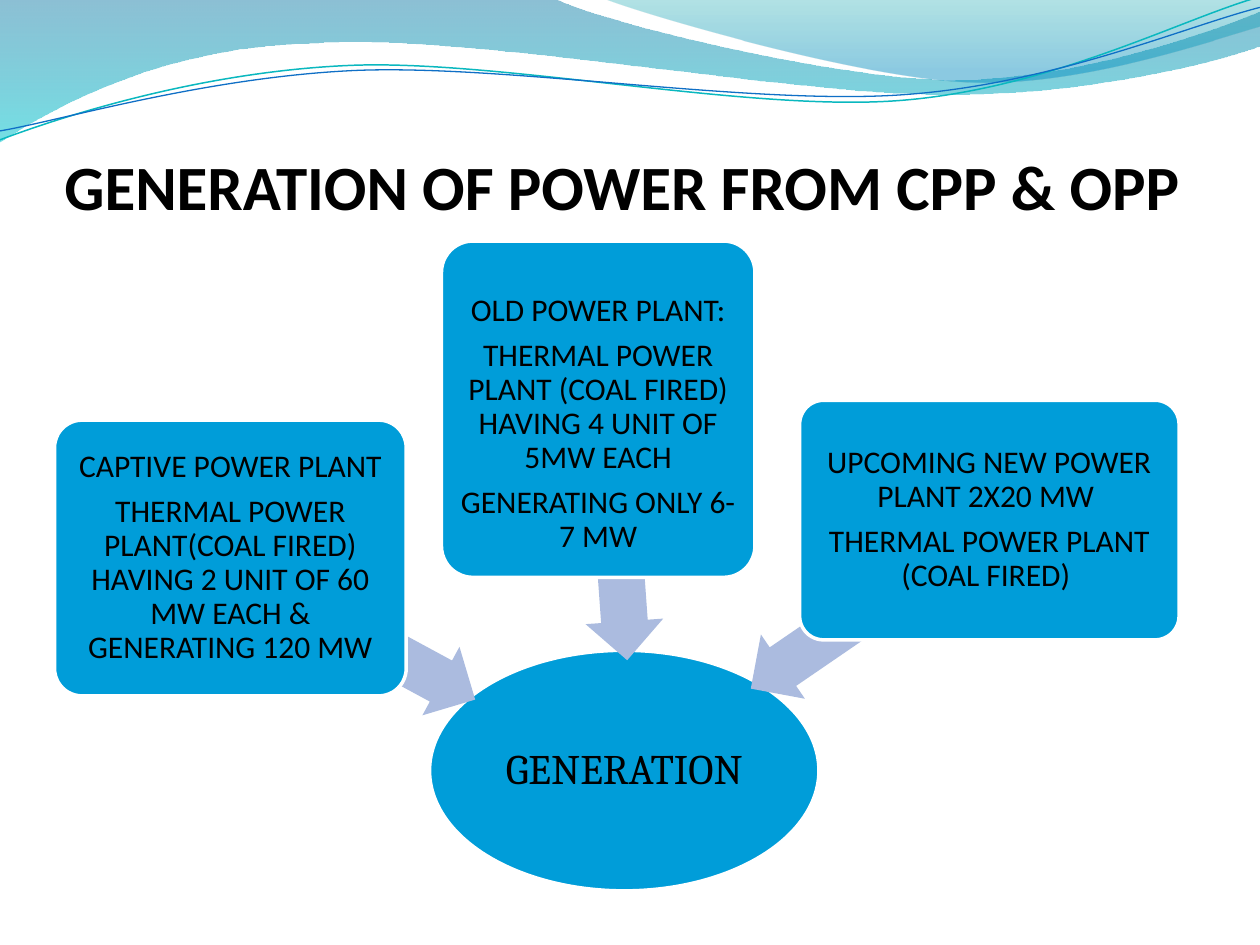
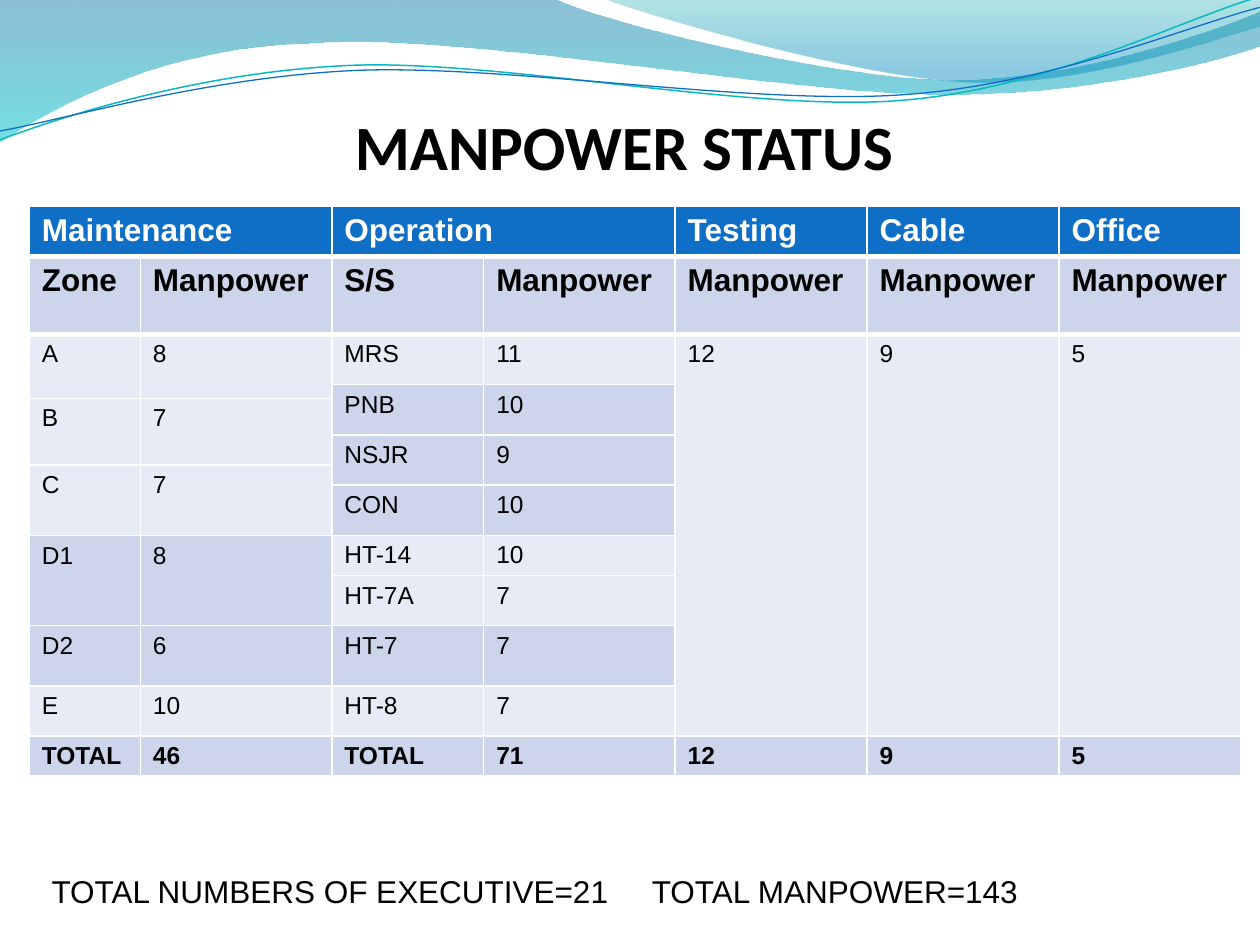
"""Build two slides on power generation and manpower under a shared wave header."""
import pptx
import pptx.dml.color
import pptx.enum.shapes
import pptx.enum.text
import pptx.oxml
import pptx.util
from lxml import etree
from pptx.util import Cm, Pt

NS = "http://schemas.openxmlformats.org/drawingml/2006/main"
SHAPES = pptx.enum.shapes.MSO_SHAPE
ALIGN = pptx.enum.text.PP_ALIGN
ANCHOR = pptx.enum.text.MSO_ANCHOR

BLACK, WHITE = "000000", "FFFFFF"
NODE_BLUE, ARROW_BLUE = "009DD9", "ABBBDF"
HEADER_BLUE, BAND_DARK, BAND_LIGHT = "0F6FC6", "CCD5EA", "E7EBF5"

WAVES = [
    {"steps": [(0, 0), (11.18, -0.03),
               (12.09, 0.43, 16.87, 1.6, 19.25, 1.6),
               (21.67, 1.6, 24.33, 0.66, 25.4, 0.23), (25.43, 0.91),
               (24.97, 1.12, 22.1, 1.93, 18.95, 1.9),
               (15.8, 1.9, 9.7, 0.71, 6.53, 0.86),
               (3.28, 0.91, 1.17, 2.11, -0.03, 2.87)],
     "gradient": [(0, "0074A1", 45), (100, "00C6CF", 55)]},
    {"steps": [(12.17, -0.03),
               (12.93, 0.28, 17.32, 1.57, 19.53, 1.65),
               (21.74, 1.75, 24.41, 0.81, 25.4, 0.53), (25.4, 0)],
     "gradient": [(0, "00A1A9", 30), (80, "008BBF", 45)]},
    {"steps": [(0, 2.82), (1.22, 2.36, 4.01, 1.45, 7.04, 1.32),
               (10.03, 1.19, 15.06, 2.26, 18.11, 2.03),
               (21.16, 1.8, 23.83, 0.38, 25.35, -0.05)],
     "line": ("0AB8BF", 0.85)},
    {"steps": [(0, 2.64), (1.19, 2.44, 4.17, 1.55, 7.19, 1.42),
               (10.24, 1.3, 15.16, 2.13, 18.21, 1.91),
               (21.23, 1.7, 23.9, 0.53, 25.4, 0.15)],
     "line": ("0F6FC6", 0.75)},
]

GENERATION = ("GENERATION", (8.66, 13.11, 7.85, 4.85))
PLANTS = [
    {"box": (1.1, 8.47, 7.09, 5.56), "top_inset": 0.1, "inset": 0.1,
     "arrow": (4.57, 12.05, 5.33, 1.57), "turn": 208.4,
     "text": ["CAPTIVE POWER PLANT",
              "THERMAL POWER PLANT(COAL FIRED) HAVING 2 UNIT OF 60 MW EACH & "
              "GENERATING 120 MW"]},
    {"box": (8.9, 4.86, 6.32, 6.78), "top_inset": 0.66, "inset": 0.05,
     "arrow": (10.18, 10.23, 4.6, 1.57), "turn": 265.9,
     "text": ["OLD POWER PLANT:",
              "THERMAL POWER PLANT (COAL FIRED) HAVING 4 UNIT OF 5MW EACH",
              "GENERATING ONLY 6-7 MW"]},
    {"box": (16.12, 8.07, 7.65, 4.83), "top_inset": 0.1, "inset": 0.1,
     "arrow": (14.66, 11.56, 5.44, 1.57), "turn": 325.6,
     "text": ["UPCOMING NEW POWER PLANT 2X20 MW ",
              "THERMAL POWER PLANT (COAL FIRED) "]},
]

COLUMN_WIDTHS = [2.24, 3.86, 3.06, 3.86, 3.87, 3.87, 3.66]
ROW_HEIGHTS = [1.01, 1.57, 1.01, 0.28, 0.74, 0.6, 0.41, 1.01, 0.01, 0.8, 1.01, 1.22,
               1.01, 0.76]
HEADINGS = [(0, 2, "Maintenance"), (2, 2, "Operation"), (4, 1, "Testing"),
            (5, 1, "Cable"), (6, 1, "Office")]
SUBHEADINGS = ["Zone", "Manpower", "S/S"] + ["Manpower"] * 4
TOTALS = ["TOTAL", "46", "TOTAL", "71", "12", "9", "5"]
STAFF = {
    0: [(2, 2, "A", "8"), (4, 2, "B", "7"), (6, 3, "C", "7"), (9, 2, "D1", "8"),
        (11, 1, "D2", "6"), (12, 1, "E", "10")],
    2: [(2, 1, "MRS", "11"), (3, 2, "PNB", "10"), (5, 2, "NSJR", "9"),
        (7, 1, "CON", "10"), (8, 2, "HT-14", "10"), (10, 1, "HT-7A", "7"),
        (11, 1, "HT-7", "7"), (12, 1, "HT-8", "7")],
    4: [(2, 11, "12", "9", "5")],
}
SUMMARY = "TOTAL NUMBERS OF EXECUTIVE=21\tTOTAL MANPOWER=143"


def color(value):
    """Turn a hex string into a colour."""
    return pptx.dml.color.RGBColor.from_string(value)


def lengths(values):
    """Turn numbers into centimetre lengths."""
    return [Cm(value) for value in values]


def paint(shape, fill, line=None, width=0):
    """Give a shape a solid fill, an optional line and no shadow."""
    shape.shadow.inherit = False
    shape.fill.solid()
    shape.fill.fore_color.rgb = color(fill)
    if line:
        shape.line.color.rgb = color(line)
        shape.line.width = Pt(width)
    else:
        shape.line.fill.background()


def style(para, size, font, tint=BLACK, bold=False):
    """Set the font of a paragraph."""
    para.font.size = Pt(size)
    para.font.name = font
    para.font.bold = bold
    para.font.color.rgb = color(tint)


def set_insets(frame, left, top, right, bottom):
    """Set the four insets of a text frame."""
    frame.margin_left, frame.margin_top = Cm(left), Cm(top)
    frame.margin_right, frame.margin_bottom = Cm(right), Cm(bottom)


def add_outline(page, steps, closed):
    """Add a freeform whose pairs are straight steps and sextets are Bézier curves."""
    groups = [[(Cm(step[i]), Cm(step[i + 1])) for i in range(0, len(step), 2)]
              for step in steps]
    builder = page.shapes.build_freeform(*groups[0][0])
    builder.add_line_segments([point for group in groups[1:] for point in group],
                              close=closed)
    shape = builder.convert_to_shape()
    segments = iter(list(shape.element.iter(f"{{{NS}}}lnTo")))
    for group in groups[1:]:
        parts = [next(segments) for _ in group]
        if len(parts) == 3:
            curve = etree.Element(f"{{{NS}}}cubicBezTo")
            parts[0].addprevious(curve)
            for part in parts:
                curve.append(part[0])
                part.getparent().remove(part)
    return shape


def gradient_fill(shape, stops):
    """Fill a shape with a see-through gradient running downwards."""
    marks = "".join(
        f'<a:gs pos="{place * 1000}"><a:srgbClr val="{tint}">'
        f'<a:alpha val="{alpha * 1000}"/></a:srgbClr></a:gs>'
        for place, tint, alpha in stops)
    fill = pptx.oxml.parse_xml(
        f'<a:gradFill xmlns:a="{NS}" rotWithShape="1"><a:gsLst>{marks}</a:gsLst>'
        '<a:lin ang="5400000" scaled="0"/></a:gradFill>')
    shape.element.spPr.find(f"{{{NS}}}custGeom").addnext(fill)


def add_waves(deck, page):
    """Draw the wave header and hand it to the master for all slides."""
    for wave in WAVES:
        shape = add_outline(page, wave["steps"], "gradient" in wave)
        shape.shadow.inherit = False
        if "gradient" in wave:
            shape.line.fill.background()
            gradient_fill(shape, wave["gradient"])
        else:
            tint, width = wave["line"]
            shape.fill.background()
            shape.line.color.rgb = color(tint)
            shape.line.width = Pt(width)
        deck.slide_master.shapes.element.append(shape.element)


def add_title(page, text, left, top, align):
    """Add a slide title standing on the bottom of its box."""
    frame = page.shapes.add_textbox(*lengths((left, top, 22.86, 3.18))).text_frame
    frame.word_wrap = True
    frame.vertical_anchor = ANCHOR.BOTTOM
    set_insets(frame, 0, 0.13, 0, 0)
    para = frame.paragraphs[0]
    para.text = text
    para.alignment = align
    style(para, 36, "Calibri", bold=True)


def add_node(page, kind, place, texts, size, font, inset, top_inset):
    """Add a blue shape with centred paragraphs."""
    node = page.shapes.add_shape(kind, *lengths(place))
    paint(node, NODE_BLUE, WHITE, 2)
    frame = node.text_frame
    frame.word_wrap = True
    frame.vertical_anchor = ANCHOR.MIDDLE
    set_insets(frame, inset, top_inset, inset, inset)
    for index, text in enumerate(texts):
        para = frame.add_paragraph() if index else frame.paragraphs[0]
        para.text = text
        para.alignment = ALIGN.CENTER
        para.line_spacing = 0.9
        para.space_after = Pt(size * 0.35)
        style(para, size, font)
    return node


def add_plants(page):
    """Draw the generation ellipse and the plants that feed it."""
    label, place = GENERATION
    add_node(page, SHAPES.OVAL, place, [label], 24, "Cambria", 0.05, 0.05)
    for plant in PLANTS:
        arrow = page.shapes.add_shape(SHAPES.LEFT_ARROW, *lengths(plant["arrow"]))
        arrow.adjustments[0], arrow.adjustments[1] = 0.6, 0.5
        arrow.rotation = plant["turn"]
        paint(arrow, ARROW_BLUE)
        box = add_node(page, SHAPES.ROUNDED_RECTANGLE, plant["box"], plant["text"],
                       18, "Calibri", plant["inset"], plant["top_inset"])
        box.adjustments[0] = 0.1


def rule_cell(cell, side, width):
    """Draw a white border on one side of a cell."""
    border = pptx.oxml.parse_xml(
        f'<a:{side} xmlns:a="{NS}" w="{Pt(width)}"><a:solidFill>'
        f'<a:srgbClr val="{WHITE}"/></a:solidFill></a:{side}>')
    cell._tc.get_or_add_tcPr().insert(0, border)


def fill_cell(table, row, column, text, rows=1, columns=1):
    """Write one cell, merged over its span and banded by its first row."""
    cell = table.cell(row, column)
    if rows * columns > 1:
        cell.merge(table.cell(row + rows - 1, column + columns - 1))
    cell.margin_bottom = Cm(0.08)
    cell.fill.solid()
    band = HEADER_BLUE if row == 0 else BAND_DARK if row % 2 else BAND_LIGHT
    cell.fill.fore_color.rgb = color(band)
    para = cell.text_frame.paragraphs[0]
    para.text = text
    style(para, 18 if row < 2 else 14, "Arial", BLACK if row else WHITE,
          row < 2 or row == len(ROW_HEIGHTS) - 1)


def add_manpower(page):
    """Add the manpower table."""
    place = (0.59, 4.16, sum(COLUMN_WIDTHS), sum(ROW_HEIGHTS))
    table = page.shapes.add_table(len(ROW_HEIGHTS), len(COLUMN_WIDTHS),
                                  *lengths(place)).table
    for column, width in zip(table.columns, COLUMN_WIDTHS):
        column.width = Cm(width)
    for row, height in zip(table.rows, ROW_HEIGHTS):
        row.height = Cm(height)
    for column, span, text in HEADINGS:
        fill_cell(table, 0, column, text, columns=span)
    for row, texts in ((1, SUBHEADINGS), (len(ROW_HEIGHTS) - 1, TOTALS)):
        for column, text in enumerate(texts):
            fill_cell(table, row, column, text)
    for first, entries in STAFF.items():
        for row, span, *texts in entries:
            for column, text in enumerate(texts, first):
                fill_cell(table, row, column, text, rows=span)
    for column in range(len(COLUMN_WIDTHS)):
        rule_cell(table.cell(0, column), "lnB", 3)
        rule_cell(table.cell(1, column), "lnT", 3)


def add_summary(page):
    """Add the line of totals, its halves set apart by a tab stop."""
    frame = page.shapes.add_textbox(*lengths((0.79, 17.46, 23.22, 1.02))).text_frame
    frame.word_wrap = True
    para = frame.paragraphs[0]
    para.text = SUMMARY
    stops = etree.SubElement(para._p.get_or_add_pPr(), f"{{{NS}}}tabLst")
    etree.SubElement(stops, f"{{{NS}}}tab", pos=str(Cm(12.1)), algn="l")
    style(para, 18, "Arial")


def main():
    """Build and save the deck."""
    deck = pptx.Presentation()
    deck.slide_width, deck.slide_height = Cm(25.4), Cm(19.05)
    plants, manpower = [deck.slides.add_slide(deck.slide_layouts[6]) for _ in range(2)]
    add_waves(deck, plants)
    add_title(plants, "GENERATION OF POWER FROM CPP & OPP", 1.3, 1.32, ALIGN.LEFT)
    add_plants(plants)
    add_title(manpower, "MANPOWER STATUS", 1.15, 0.52, ALIGN.CENTER)
    add_manpower(manpower)
    add_summary(manpower)
    deck.save("out.pptx")


if __name__ == "__main__":
    main()
